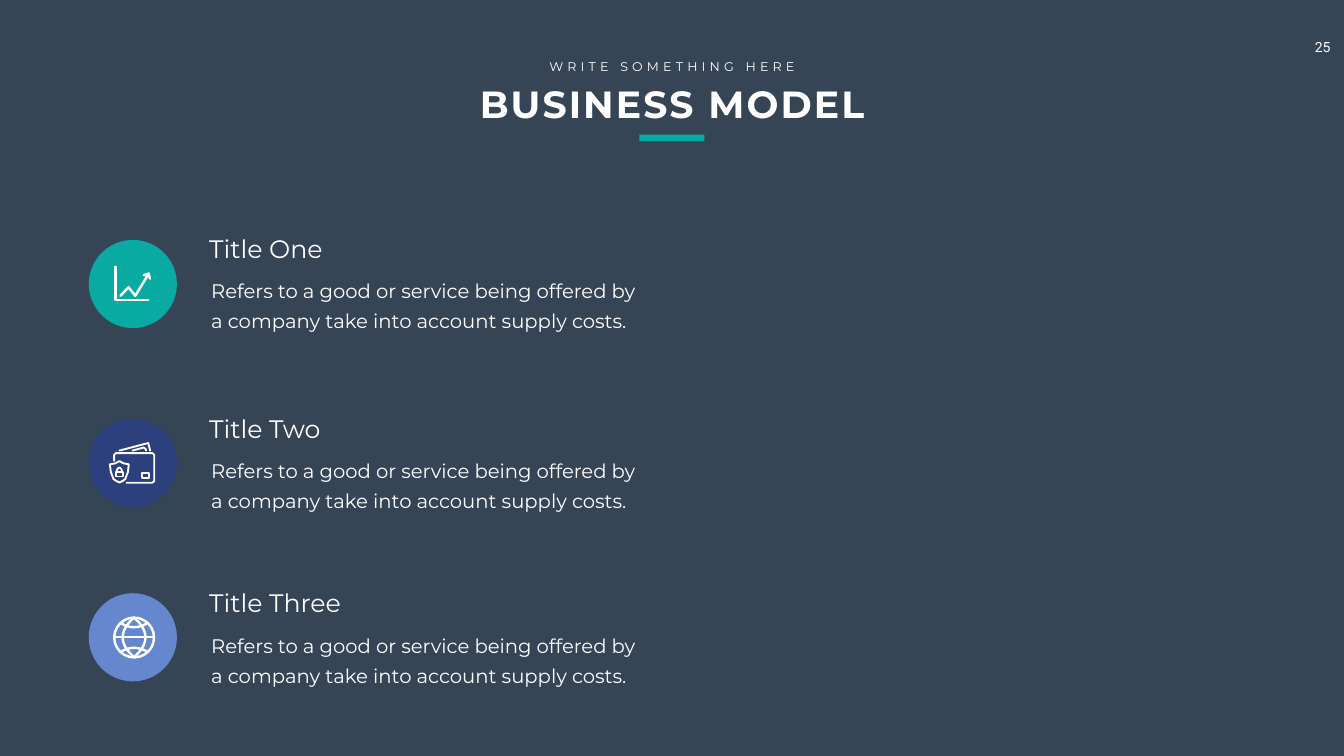
"""Build the Business Model slide with three icon rows."""
from lxml import etree
from pptx import Presentation
from pptx import util as u
from pptx.dml.color import RGBColor
from pptx.enum import shapes, text
from pptx.oxml.ns import qn

SLATE = RGBColor(0x36, 0x45, 0x56)
WHITE = RGBColor(0xFF, 0xFF, 0xFF)
TEAL = RGBColor(0x08, 0xAA, 0xA2)
NAVY = RGBColor(0x2C, 0x40, 0x7E)
PERIWINKLE = RGBColor(0x65, 0x87, 0xCD)

BODY = "Refers to a good or service being offered by a company take into account supply costs."
DISC_LEFT, DISC_SIZE = 126.7, 126


def curve(start, control, end, steps=16):
    """Return points along a quadratic curve."""
    points = []
    for step in range(steps + 1):
        t = step / steps
        weights = ((1 - t) ** 2, 2 * t * (1 - t), t ** 2)
        points.append(tuple(sum(w * p[axis] for w, p in zip(weights, (start, control, end)))
                            for axis in (0, 1)))
    return points


def rectangle(left, top, right, bottom):
    """Return the outline of a rectangle as a closed stroke."""
    return [(left, top), (right, top), (right, bottom), (left, bottom), (left, top)]


CHART_ICON = [
    [(38.5, 38.5), (38.5, 86), (85.3, 86)],
    [(45.4, 79.9), (56.9, 67.7), (66.6, 79.9), (85.7, 48.2)],
    [(78.5, 50.4), (85.7, 48.2), (87.5, 55.4)],
]
CARD_ICON = [
    [(36.4, 59.8), (36.4, 51.6), (39, 49), (91, 49), (93.6, 51.6), (93.6, 88.8),
     (91, 91.4), (54, 91.4)],
    rectangle(75.6, 77, 86.4, 84.2),
    [(43.9, 45.4), (85, 34.6), (87.8, 45.4)],
    [(62.6, 45.4), (78.5, 41), (81.4, 43.2), (82.1, 45.4)],
    [(43.9, 60.5), (50, 63.7), (57.2, 65), (56, 76), (52.2, 86), (49, 88.5), (43.9, 91),
     (38.7, 88.5), (35.4, 86), (31.6, 76), (30.2, 65), (37.8, 63.7), (43.9, 60.5)],
    rectangle(38.9, 76.3, 48.6, 82.4),
    [(40, 76.3), *curve((40, 74), (43.8, 65.6), (47.5, 74)), (47.5, 76.3)],
]
GLOBE_ICON = [
    [(36.4, 63), (93.3, 63)],
    curve((64.8, 34.9), (32.4, 63), (64.8, 91.4)),
    curve((64.8, 34.9), (97.2, 63), (64.8, 91.4)),
    curve((45.4, 42.5), (64.8, 54.7), (84.2, 42.5)),
    curve((45.4, 83.9), (64.8, 72.3), (84.2, 83.9)),
]
ROWS = [
    ("Title One", 329.8, 342.7, TEAL, CHART_ICON, 3.5),
    ("Title Two", 586.8, 598.3, NAVY, CARD_ICON, 2.7),
    ("Title Three", 835.9, 847.4, PERIWINKLE, GLOBE_ICON, 3.5),
]


class SlideBuilder:
    """Hold the text style and the current slide, and add elements to it."""

    def __init__(self, slide, font="Montserrat", ink=WHITE):
        self.slide, self.font, self.ink = slide, font, ink

    def background(self, color):
        """Fill the slide background."""
        self.slide.background.fill.solid()
        self.slide.background.fill.fore_color.rgb = color

    def label(self, words, left, top, width, height, size, align=text.PP_ALIGN.LEFT,
              inset=(7.2, 3.6), font=None, bold=False, tracking=0, leading=None):
        """Add a one-paragraph text box."""
        box = self.slide.shapes.add_textbox(u.Pt(left), u.Pt(top), u.Pt(width), u.Pt(height))
        frame = box.text_frame
        frame.word_wrap = True
        frame.margin_left = frame.margin_right = u.Pt(inset[0])
        frame.margin_top = frame.margin_bottom = u.Pt(inset[1])
        para = frame.paragraphs[0]
        para.alignment = align
        if leading:
            para.line_spacing = u.Pt(leading)
        span = para.add_run()
        span.text = words
        span.font.name, span.font.size = font or self.font, u.Pt(size)
        span.font.bold, span.font.color.rgb = bold, self.ink
        if tracking:
            span.font._element.set("spc", str(tracking * 100))

    def solid(self, kind, left, top, width, height, color):
        """Add a filled preset shape without an outline."""
        shape = self.slide.shapes.add_shape(kind, u.Pt(left), u.Pt(top), u.Pt(width), u.Pt(height))
        shape.shadow.inherit = False
        shape.fill.solid()
        shape.fill.fore_color.rgb = color
        shape.line.fill.background()

    def outline(self, shape, weight):
        """Turn a shape into a rounded line drawing."""
        shape.shadow.inherit = False
        shape.fill.background()
        shape.line.color.rgb = self.ink
        shape.line.width = u.Pt(weight)
        line = shape.element.spPr.find(qn("a:ln"))
        line.set("cap", "rnd")
        etree.SubElement(line, qn("a:round"))

    def ring(self, left, top, size, weight):
        """Add an outlined circle."""
        self.outline(self.slide.shapes.add_shape(
            shapes.MSO_SHAPE.OVAL, u.Pt(left), u.Pt(top), u.Pt(size), u.Pt(size)), weight)

    def icon(self, strokes, left, top, weight):
        """Draw icon strokes given relative to the disc corner."""
        for stroke in strokes:
            points = [(u.Pt(left + x), u.Pt(top + y)) for x, y in stroke]
            closed = points[0] == points[-1]
            pen = self.slide.shapes.build_freeform(*points[0])
            pen.add_line_segments(points[1:-1] if closed else points[1:], close=closed)
            self.outline(pen.convert_to_shape(), weight)


def main():
    """Compose and save the slide."""
    deck = Presentation()
    deck.slide_width, deck.slide_height = u.Pt(1919.52), u.Pt(1080)
    page = SlideBuilder(deck.slides.add_slide(deck.slide_layouts[6]))
    center = text.PP_ALIGN.CENTER
    page.background(SLATE)
    page.label("25", 1863.4, 48.2, 65.5, 38.9, 20, inset=(14.4, 7.2), font="Roboto")
    page.label("BUSINESS MODEL", 613.4, 111.6, 693.4, 72.7, 54, center, bold=True, tracking=3)
    page.label("WRITE SOMETHING HERE", 773.3, 80.6, 373, 28.8, 18, center, tracking=6)
    page.solid(shapes.MSO_SHAPE.RECTANGLE, 913, 192.2, 92.9, 9.4, TEAL)
    for title, title_top, disc_top, color, strokes, weight in ROWS:
        page.solid(shapes.MSO_SHAPE.OVAL, DISC_LEFT, disc_top, DISC_SIZE, DISC_SIZE, color)
        page.icon(strokes, DISC_LEFT, disc_top, weight)
        if strokes is GLOBE_ICON:
            page.ring(DISC_LEFT + 36.4, disc_top + 34.9, 56.9, weight)
        page.label(title, 291.6, title_top, 285.8, 51.1, 36)
        page.label(BODY, 284.4, title_top + 51.1, 650.2, 100.1, 28, inset=(17.3, 8.6), leading=43)
    deck.save("out.pptx")


if __name__ == "__main__":
    main()
